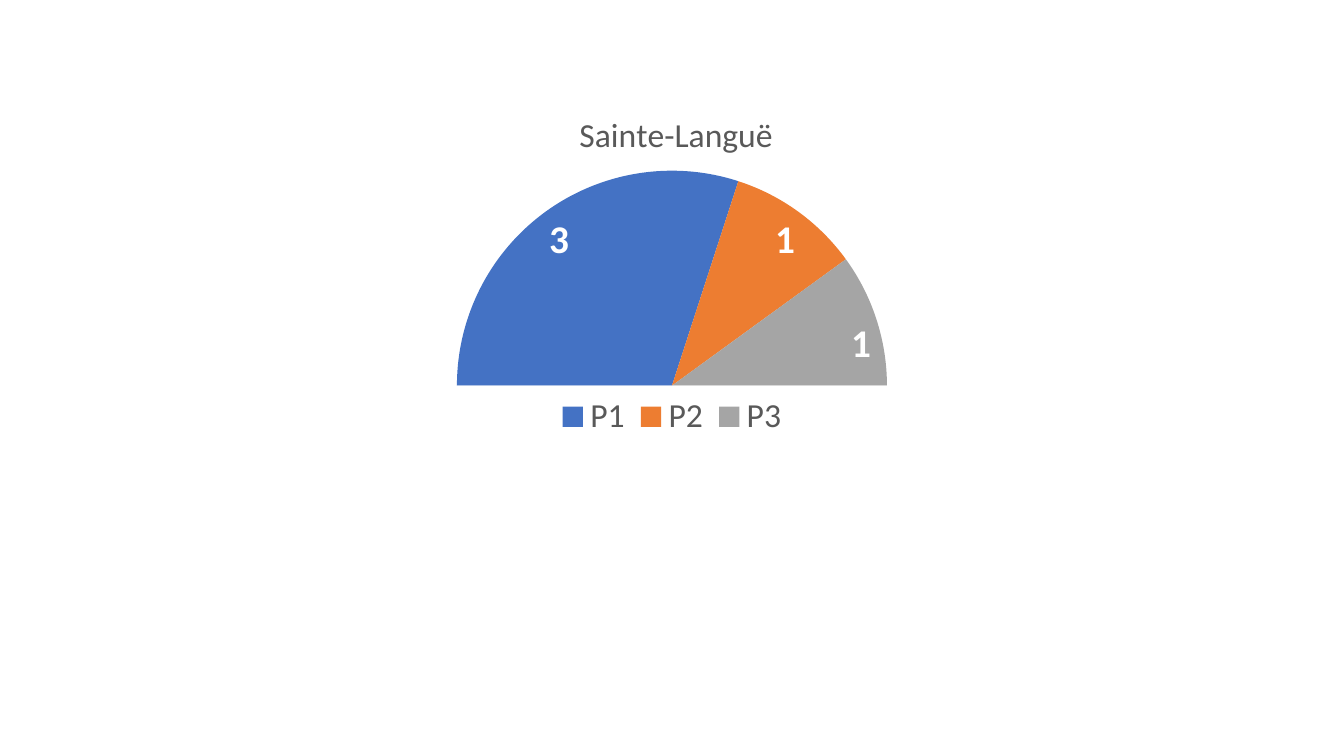
"""Build a slide with a half-pie chart of the seats in Sainte-Languë."""
import pptx
import pptx.chart.data
import pptx.dml.color
import pptx.enum.chart
import pptx.oxml
import pptx.util

NS = 'xmlns:c="http://schemas.openxmlformats.org/drawingml/2006/chart"'
TITLE = "Sainte-Languë"
SEATS = {"P1": 3, "P2": 1, "P3": 1, "P6": 5}
COLORS = ["4472C4", "ED7D31", "A5A5A5", "FFFFFF"]
HIDDEN = len(SEATS) - 1


def style(font, color, **values):
    font.color.rgb = pptx.dml.color.RGBColor.from_string(color)
    for name, value in values.items():
        setattr(font, name, value)


def place(el, index, **shares):
    for old in el.findall("{*}layout"):
        el.remove(old)
    tags = "".join(f'<c:{k}Mode val="edge"/>' for k in "xy")
    tags += "".join(f'<c:{k} val="{v}"/>' for k, v in shares.items())
    target = '<c:layoutTarget val="inner"/>' if index == 0 else ""
    el.insert(index, pptx.oxml.parse_xml(
        f"<c:layout {NS}><c:manualLayout>{target}{tags}</c:manualLayout></c:layout>"))


prs = pptx.Presentation()
prs.slide_width, prs.slide_height = pptx.util.Inches(13.33), pptx.util.Inches(7.5)
W, H = prs.slide_width, prs.slide_height
s = prs.slides.add_slide(prs.slide_layouts[6])

data = pptx.chart.data.CategoryChartData()
data.categories = list(SEATS)
data.add_series(TITLE, list(SEATS.values()))
chart = s.shapes.add_chart(
    pptx.enum.chart.XL_CHART_TYPE.PIE,
    int(W / 6), int(H * 0.105), int(W * 2 / 3), int(H * 0.79), data).chart
style(chart.font, "000000", name="Calibri", size=pptx.util.Pt(10))
label_font = {"name": "Calibri", "size": pptx.util.Pt(24), "bold": False}

chart.has_title = True
tf = chart.chart_title.text_frame
tf.text = TITLE
style(tf.paragraphs[0].runs[0].font, "595959", **label_font)
place(chart.chart_title._element, 1, x=0.39, y=0.045)

chart.has_legend = True
legend = chart.legend
legend.position = pptx.enum.chart.XL_LEGEND_POSITION.BOTTOM
legend.include_in_layout = False
style(legend.font, "595959", **label_font)
legend._element.insert(1, pptx.oxml.parse_xml(
    f'<c:legendEntry {NS}><c:idx val="{HIDDEN}"/><c:delete val="1"/></c:legendEntry>'))
place(legend._element, 2, x=0.36, y=0.53, w=0.28, h=0.07)

plot = chart.plots[0]
plot.vary_by_categories = True
place(plot._element.getparent(), 0, x=0.26, y=0.153, w=0.48, h=0.72)
for old in plot._element.findall("{*}firstSliceAng"):
    plot._element.remove(old)
plot._element.append(pptx.oxml.parse_xml(f'<c:firstSliceAng {NS} val="270"/>'))

series = plot.series[0]
for i, color in enumerate(COLORS):
    fill = series.points[i].format.fill
    fill.solid()
    fill.fore_color.rgb = pptx.dml.color.RGBColor.from_string(color)

labels = series.data_labels
labels.show_value = True
labels.position = pptx.enum.chart.XL_LABEL_POSITION.INSIDE_END
style(labels.font, "FFFFFF", name="Calibri", size=pptx.util.Pt(28), bold=True)
labels._element.insert(0, pptx.oxml.parse_xml(
    f'<c:dLbl {NS}><c:idx val="{HIDDEN}"/><c:delete val="1"/></c:dLbl>'))

prs.save("out.pptx")
